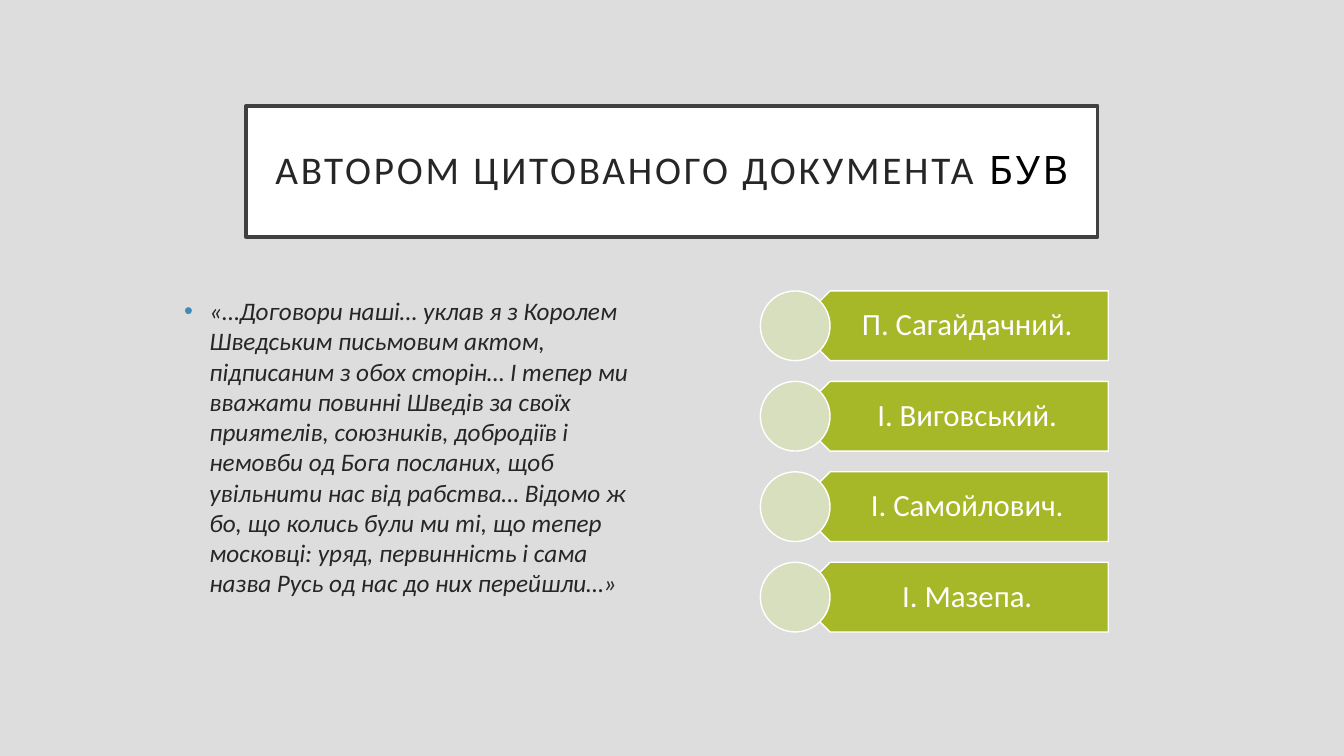
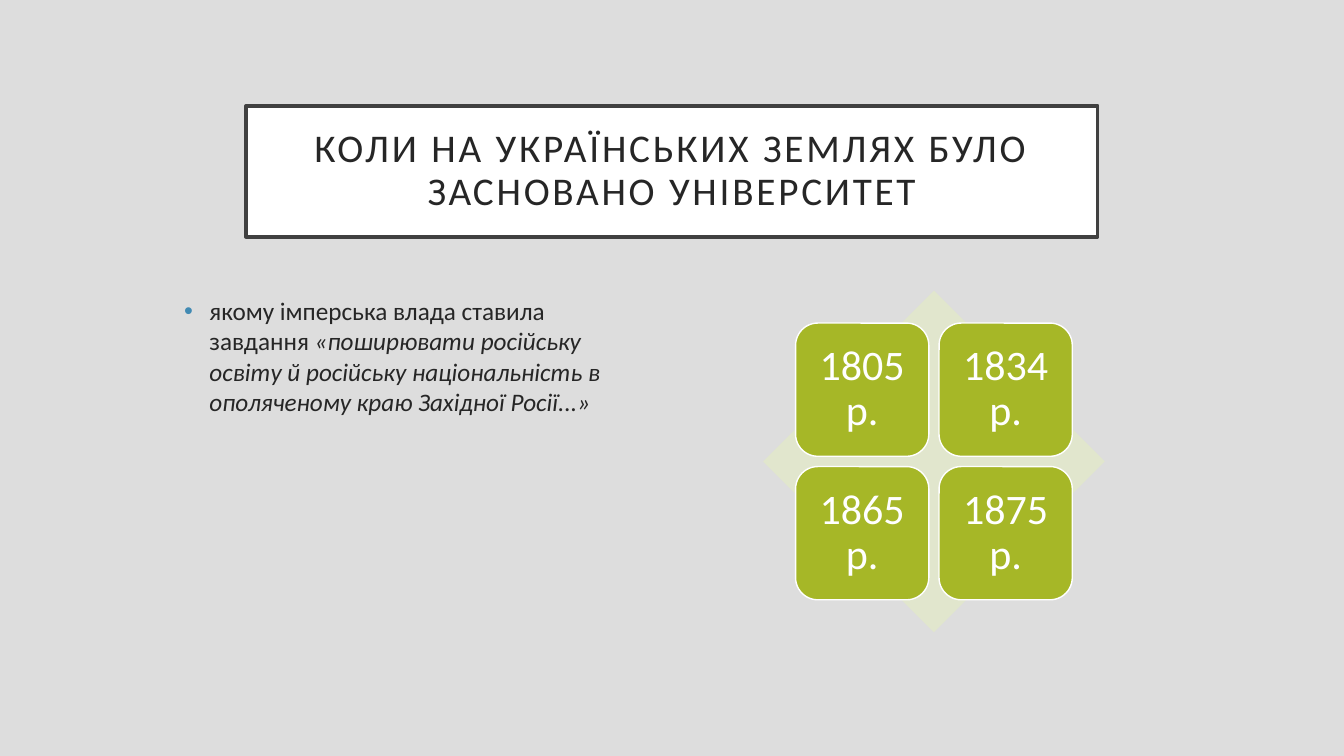
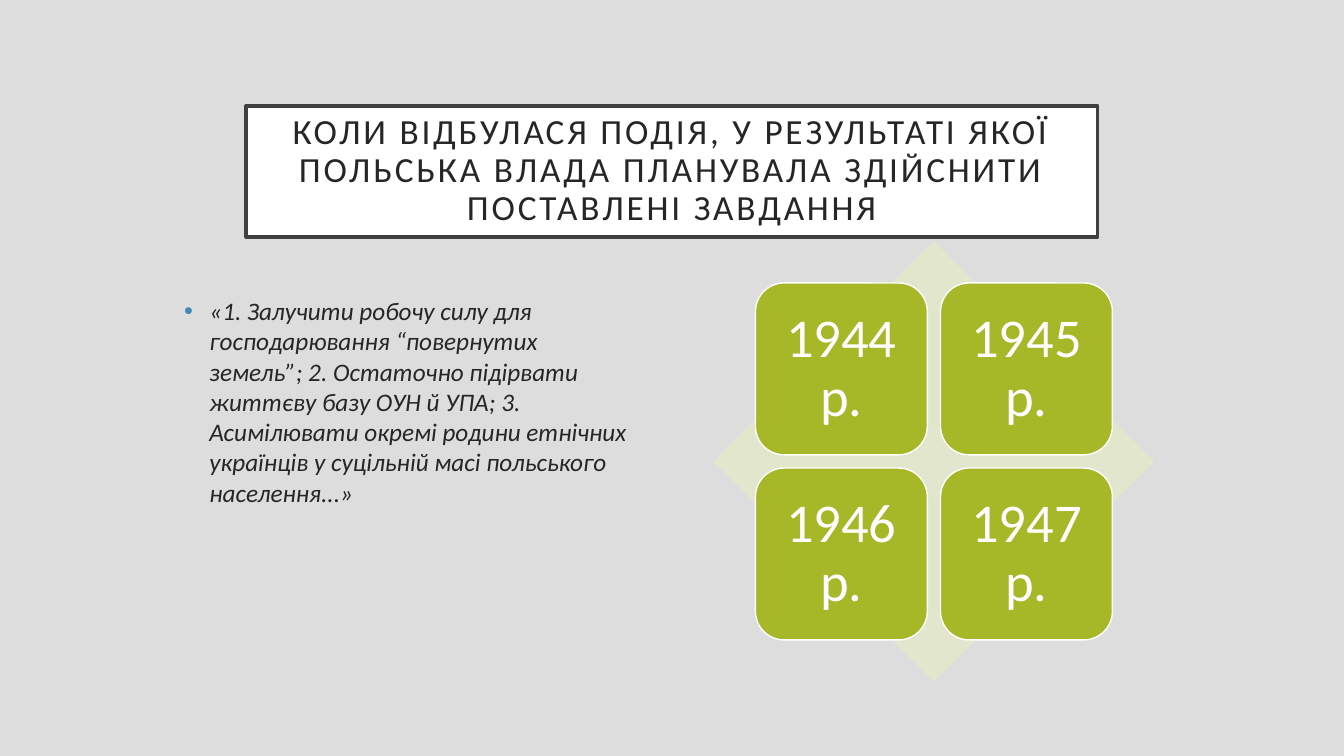
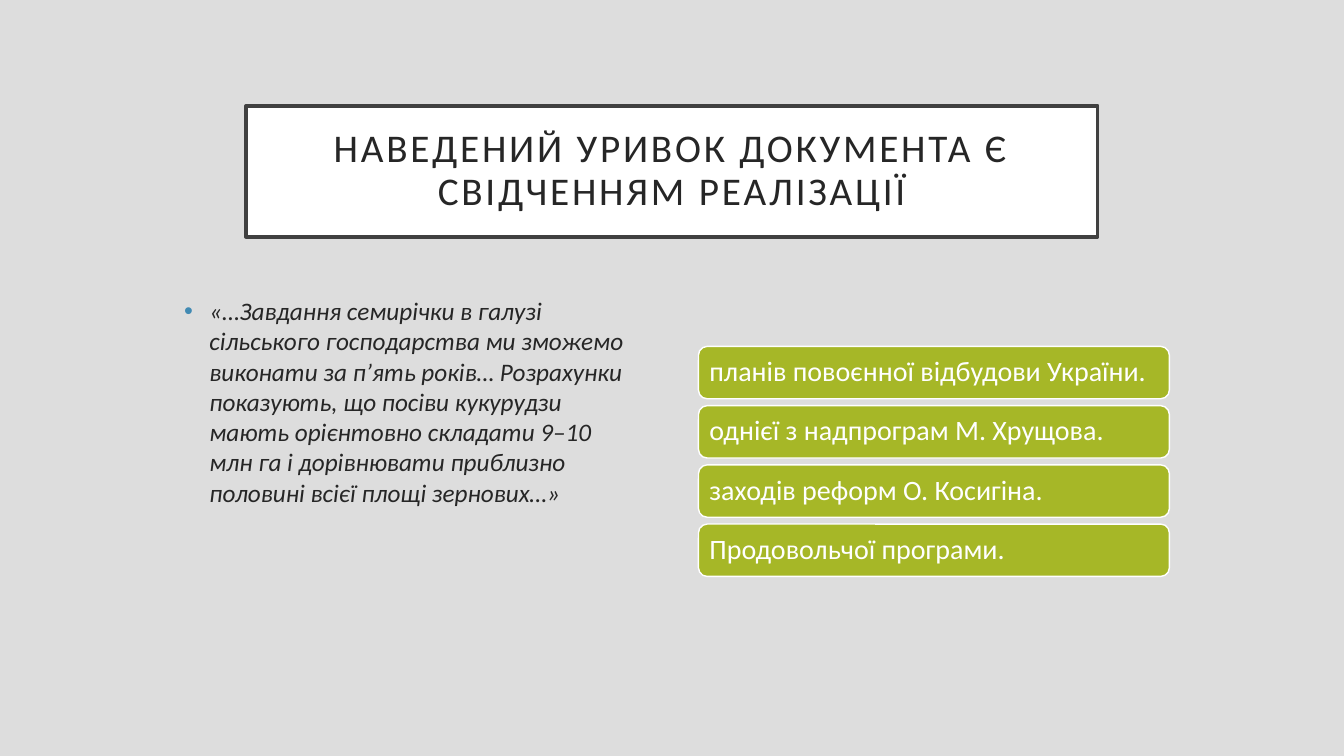
"""Builds four history quiz slides: a title, a quotation and four answers each."""
from dataclasses import dataclass

from lxml import etree
from pptx import Presentation
from pptx.dml.color import RGBColor
from pptx.enum.shapes import MSO_SHAPE
from pptx.enum.text import MSO_ANCHOR, PP_ALIGN
from pptx.oxml.ns import qn
from pptx.util import Pt

RECTANGLE, ROUNDED = MSO_SHAPE.RECTANGLE, MSO_SHAPE.ROUNDED_RECTANGLE
PENTAGON, OVAL, DIAMOND = MSO_SHAPE.PENTAGON, MSO_SHAPE.OVAL, MSO_SHAPE.DIAMOND
TOP, MIDDLE = MSO_ANCHOR.TOP, MSO_ANCHOR.MIDDLE
LEFT, CENTER = PP_ALIGN.LEFT, PP_ALIGN.CENTER


@dataclass(frozen=True)
class Theme:
    """Colours, fonts and type sizes of the deck."""
    background: str = "DDDDDD"
    ink: str = "262626"
    black: str = "000000"
    white: str = "FFFFFF"
    frame: str = "404040"
    bullet: str = "418AB3"
    answer: str = "A6B727"
    circle: str = "D8DFBE"
    diamond: str = "E1E6CD"
    font: str = "Calibri"
    accent_font: str = "Quicksand"
    title_size: float = 28
    long_title_size: float = 25.2
    body_size: float = 18
    ribbon_size: float = 22
    list_size: float = 20
    small_matrix_size: float = 30
    large_matrix_size: float = 39


THEME = Theme()
TITLE_STYLE = {"name": THEME.font, "size": THEME.title_size, "color": THEME.ink}
LONG_TITLE = {"size": THEME.long_title_size}
ACCENT = {"name": THEME.accent_font, "color": THEME.black}
BODY_STYLE = {"name": THEME.font, "size": THEME.body_size, "color": THEME.ink}
ANSWER_STYLE = {"name": THEME.font, "color": THEME.white}
ITALIC = {"italic": True}

SLIDE_SIZE = (960, 540)
TITLE_AREA = (175.7, 75.6, 608.4, 93.6)
BODY_AREA = (124.5, 207.5, 336.4, 244)
ANSWER_CENTER = (667.1, 329.6)
INSET_RATIO = 0.3

SLIDES = [
    {
        "title": [("АВТОРОМ ЦИТОВАНОГО ДОКУМЕНТА ", {}), ("БУВ", ACCENT)],
        "body": [("«…Договори наші… уклав я з Королем Шведським письмовим актом, "
                  "підписаним з обох сторін… І тепер ми вважати повинні Шведів за своїх "
                  "приятелів, союзників, добродіїв і немовби од Бога посланих, щоб "
                  "увільнити нас від рабства… Відомо ж бо, що колись були ми ті, що "
                  "тепер московці: уряд, первинність і сама назва Русь од нас до них "
                  "перейшли…»", ITALIC)],
        "kind": "ribbons",
        "answers": ["П. Сагайдачний.", "І. Виговський.", "І. Самойлович.", "І. Мазепа."],
    },
    {
        "title": [("КОЛИ НА УКРАЇНСЬКИХ ЗЕМЛЯХ БУЛО ЗАСНОВАНО УНІВЕРСИТЕТ", {})],
        "body": [("якому імперська влада ставила завдання ", {}),
                 ("«поширювати російську освіту й російську національність в "
                  "ополяченому краю Західної Росії...»", ITALIC)],
        "kind": "matrix",
        "answers": ["1805 р.", "1834 р.", "1865 р.", "1875 р."],
        "options": {"side": 244, "size": THEME.small_matrix_size},
    },
    {
        "title": [("КОЛИ ВІДБУЛАСЯ ПОДІЯ, У РЕЗУЛЬТАТІ ЯКОЇ ПОЛЬСЬКА ВЛАДА ПЛАНУВАЛА "
                   "ЗДІЙСНИТИ ПОСТАВЛЕНІ ЗАВДАННЯ", LONG_TITLE)],
        "body": [("«1. Залучити робочу силу для господарювання “повернутих земель”; "
                  "2. Остаточно підірвати життєву базу ОУН й УПА; 3. Асимілювати окремі "
                  "родини етнічних українців у суцільній масі польського "
                  "населення...»", ITALIC)],
        "kind": "matrix",
        "answers": ["1944 р.", "1945 р.", "1946 р.", "1947 р."],
        "options": {"side": 314.8, "size": THEME.large_matrix_size},
    },
    {
        "title": [("НАВЕДЕНИЙ УРИВОК ДОКУМЕНТА Є СВІДЧЕННЯМ РЕАЛІЗАЦІЇ", {})],
        "body": [("«…Завдання семирічки в галузі сільського господарства ми зможемо "
                  "виконати за п’ять років… Розрахунки показують, що посіви кукурудзи "
                  "мають орієнтовно складати 9–10 млн га і дорівнювати приблизно "
                  "половині всієї площі зернових…»", ITALIC)],
        "kind": "bars",
        "answers": ["планів повоєнної відбудови України.", "однієї з надпрограм М. Хрущова.",
                    "заходів реформ О. Косигіна.", "Продовольчої програми."],
    },
]


def add_shape(page, kind, area, fill, line=None, weight=1):
    shape = page.shapes.add_shape(kind, *map(Pt, area))
    shape.shadow.inherit = False
    shape.fill.solid()
    shape.fill.fore_color.rgb = RGBColor.from_string(fill)
    if line:
        shape.line.color.rgb = RGBColor.from_string(line)
        shape.line.width = Pt(weight)
    else:
        shape.line.fill.background()
    return shape


def write(box, spans, style, insets, align=CENTER, anchor=MIDDLE, spacing=0.9):
    frame = box.text_frame
    left, top, right, bottom = map(Pt, insets)
    settings = {"word_wrap": True, "vertical_anchor": anchor, "margin_left": left,
                "margin_top": top, "margin_right": right, "margin_bottom": bottom}
    for name, value in settings.items():
        setattr(frame, name, value)
    para = frame.paragraphs[0]
    para.alignment, para.line_spacing = align, spacing
    for text, changes in spans:
        span = para.add_run()
        span.text = text
        values = {**style, **changes}
        span.font.color.rgb = RGBColor.from_string(values.pop("color"))
        values["size"] = Pt(values["size"])
        for name, value in values.items():
            setattr(span.font, name, value)
    return para


def add_title(page, spans):
    box = add_shape(page, RECTANGLE, TITLE_AREA, THEME.white, THEME.frame, 2.5)
    para = write(box, spans, TITLE_STYLE, [14.4] * 4)
    for span in para.runs:
        span.font._element.set("spc", "200")


def add_body(page, spans):
    box = page.shapes.add_textbox(*map(Pt, BODY_AREA))
    para = write(box, spans, BODY_STYLE, (7.2, 3.6, 7.2, 3.6), LEFT, TOP, 1.0)
    properties = para._p.get_or_add_pPr()
    properties.set("marL", str(Pt(18)))
    properties.set("indent", str(-Pt(18)))
    color = etree.SubElement(properties, qn("a:buClr"))
    etree.SubElement(color, qn("a:srgbClr"), val=THEME.bullet)
    etree.SubElement(properties, qn("a:buFont"), typeface="Arial")
    etree.SubElement(properties, qn("a:buChar"), char="•")


def column_tops(count, height, pitch):
    first = ANSWER_CENTER[1] - ((count - 1) * pitch + height) / 2
    return [first + index * pitch for index in range(count)]


def add_ribbons(page, answers, height=49.8, pitch=64.6, left=568, width=223.6):
    style = {**ANSWER_STYLE, "size": THEME.ribbon_size}
    point = height / 4
    for answer, top in zip(answers, column_tops(len(answers), height, pitch)):
        ribbon = add_shape(page, PENTAGON, (left, top, width, height),
                           THEME.answer, THEME.white)
        ribbon.rotation = 180
        label = page.shapes.add_textbox(
            *map(Pt, (left + point, top, width - point, height)))
        write(label, [(answer, {})], style, (22, 6.6, 12.3, 6.6))
        add_shape(page, OVAL, (left - height / 2, top, height, height),
                  THEME.circle, THEME.white)


def add_matrix(page, answers, side, size):
    center_x, center_y = ANSWER_CENTER
    add_shape(page, DIAMOND, (center_x - side / 2, center_y - side / 2, side, side),
              THEME.diamond)
    tile, pitch = 0.39 * side, 0.42 * side
    offset = (tile + pitch) / 2
    for index, answer in enumerate(answers):
        row, column = divmod(index, 2)
        area = (center_x - offset + column * pitch, center_y - offset + row * pitch,
                tile, tile)
        box = add_shape(page, ROUNDED, area, THEME.answer, THEME.white)
        write(box, [(answer, {})], {**ANSWER_STYLE, "size": size}, [INSET_RATIO * size] * 4)


def add_bars(page, answers, height=37.4, pitch=42.3, width=336.4):
    style = {**ANSWER_STYLE, "size": THEME.list_size}
    left = ANSWER_CENTER[0] - width / 2
    for answer, top in zip(answers, column_tops(len(answers), height, pitch)):
        box = add_shape(page, ROUNDED, (left, top, width, height),
                        THEME.answer, THEME.white)
        write(box, [(answer, {})], style, [INSET_RATIO * THEME.list_size] * 4, LEFT)


ANSWER_BUILDERS = {"ribbons": add_ribbons, "matrix": add_matrix, "bars": add_bars}


def main():
    deck = Presentation()
    deck.slide_width, deck.slide_height = map(Pt, SLIDE_SIZE)
    backdrop = deck.slide_master.background.fill
    backdrop.solid()
    backdrop.fore_color.rgb = RGBColor.from_string(THEME.background)
    for content in SLIDES:
        page = deck.slides.add_slide(deck.slide_layouts[6])
        add_title(page, content["title"])
        add_body(page, content["body"])
        build = ANSWER_BUILDERS[content["kind"]]
        build(page, content["answers"], **content.get("options", {}))
    deck.save("out.pptx")


if __name__ == "__main__":
    main()
